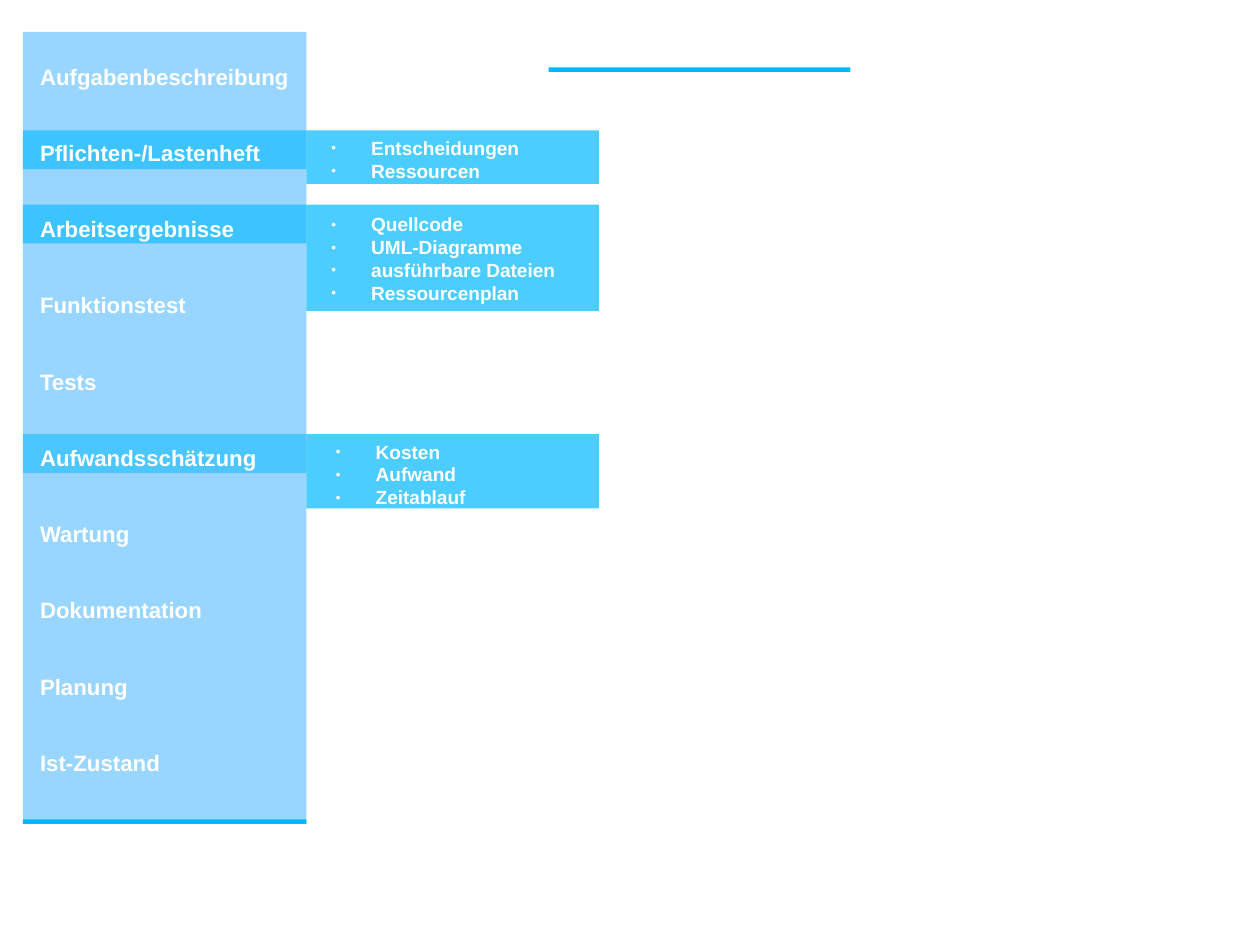
from lxml import etree
from pptx import Presentation
from pptx.dml.color import RGBColor
from pptx.enum.shapes import MSO_SHAPE
from pptx.oxml.ns import qn
from pptx.util import Cm, Pt

RECTANGLE = MSO_SHAPE.RECTANGLE
WHITE = RGBColor(0xFF, 0xFF, 0xFF)
CYAN = RGBColor(0x00, 0xB8, 0xFF)
BLUE = RGBColor(0x00, 0x99, 0xFF)

SIDEBAR_LEFT, SIDEBAR_TOP = 0.51, 0.71
SIDEBAR_WIDTH, SIDEBAR_HEIGHT = 6.3, 17.6
PANEL_LEFT = SIDEBAR_LEFT + SIDEBAR_WIDTH
PANEL_WIDTH = 6.5
TAB_HEIGHT = 0.86
RULE_HEIGHT = 0.1

prs = Presentation()
prs.slide_width, prs.slide_height = Cm(28), Cm(21)
slide = prs.slides.add_slide(prs.slide_layouts[6])


def add_block(left, top, width, height, color, opacity=100):
    block = slide.shapes.add_shape(RECTANGLE, Cm(left), Cm(top), Cm(width), Cm(height))
    block.shadow.inherit = False
    block.line.fill.background()
    block.fill.solid()
    block.fill.fore_color.rgb = color
    if opacity < 100:
        tint = block.fill._xPr.find(qn("a:solidFill"))[0]
        etree.SubElement(tint, qn("a:alpha"), val=str(opacity * 1000))


def add_text(lines, left, top, width, height, size, inset=(0, 0), space_after=0, bullet=False):
    frame = slide.shapes.add_textbox(Cm(left), Cm(top), Cm(width), Cm(height)).text_frame
    frame.word_wrap = True
    frame.margin_left, frame.margin_top = Cm(inset[0]), Cm(inset[1])
    frame.margin_right = frame.margin_bottom = 0
    for index, line in enumerate(lines):
        paragraph = frame.paragraphs[0] if index == 0 else frame.add_paragraph()
        paragraph.text = line
        if bullet:
            props = paragraph._p.get_or_add_pPr()
            props.set("marL", str(Cm(1.19)))
            props.set("indent", str(Cm(-0.89)))
            bullet_color = etree.SubElement(props, qn("a:buClr"))
            etree.SubElement(bullet_color, qn("a:srgbClr"), val=str(WHITE))
            etree.SubElement(props, qn("a:buSzPct"), val="45000")
            etree.SubElement(props, qn("a:buFont"), typeface="Arial")
            etree.SubElement(props, qn("a:buChar"), char="●")
        paragraph.line_spacing = Pt(size * 1.2)
        paragraph.space_after = Pt(space_after)
        paragraph.font.name = "Arial"
        paragraph.font.size = Pt(size)
        paragraph.font.bold = True
        paragraph.font.color.rgb = WHITE


chapters = [
    "Aufgabenbeschreibung", "Pflichten-/Lastenheft", "Arbeitsergebnisse",
    "Funktionstest", "Tests", "Aufwandsschätzung", "Wartung",
    "Dokumentation", "Planung", "Ist-Zustand",
]
details = [
    (2.9, 1.19, 60, 6.81, 2.9, ["Entscheidungen", "Ressourcen"]),
    (4.55, 2.36, 60, 6.81, 4.6,
     ["Quellcode", "UML-Diagramme", "ausführbare Dateien", "Ressourcenplan"]),
    (9.65, 1.65, 50, 6.91, 9.65, ["Kosten", "Aufwand", "Zeitablauf"]),
]

add_block(SIDEBAR_LEFT, SIDEBAR_TOP, SIDEBAR_WIDTH, SIDEBAR_HEIGHT, BLUE, 40)
for top, height, tab_opacity, text_left, text_top, topics in details:
    add_block(SIDEBAR_LEFT, top, SIDEBAR_WIDTH, TAB_HEIGHT, CYAN, tab_opacity)
    add_block(PANEL_LEFT, top, PANEL_WIDTH, height, CYAN, 70)
    add_text(topics, text_left, text_top, PANEL_WIDTH - 0.1, height, 12,
             inset=(0.25, 0.13), bullet=True)

add_text(chapters, SIDEBAR_LEFT, 1.4, SIDEBAR_WIDTH, 16.4, 14,
         inset=(0.38, 0), space_after=31.2)

add_block(SIDEBAR_LEFT, SIDEBAR_TOP + SIDEBAR_HEIGHT - RULE_HEIGHT,
          SIDEBAR_WIDTH, RULE_HEIGHT, CYAN)
add_block(12.19, 1.5, 6.71, RULE_HEIGHT, CYAN)

prs.save("out.pptx")
